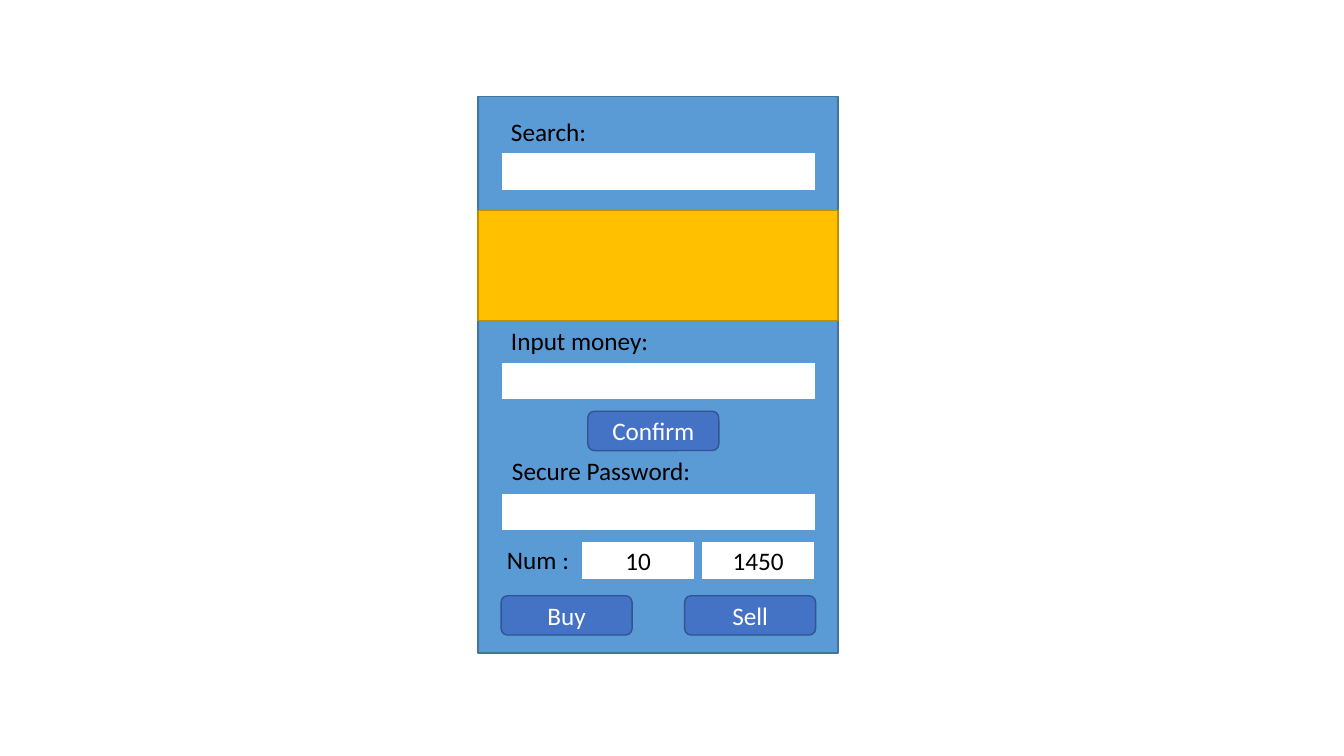
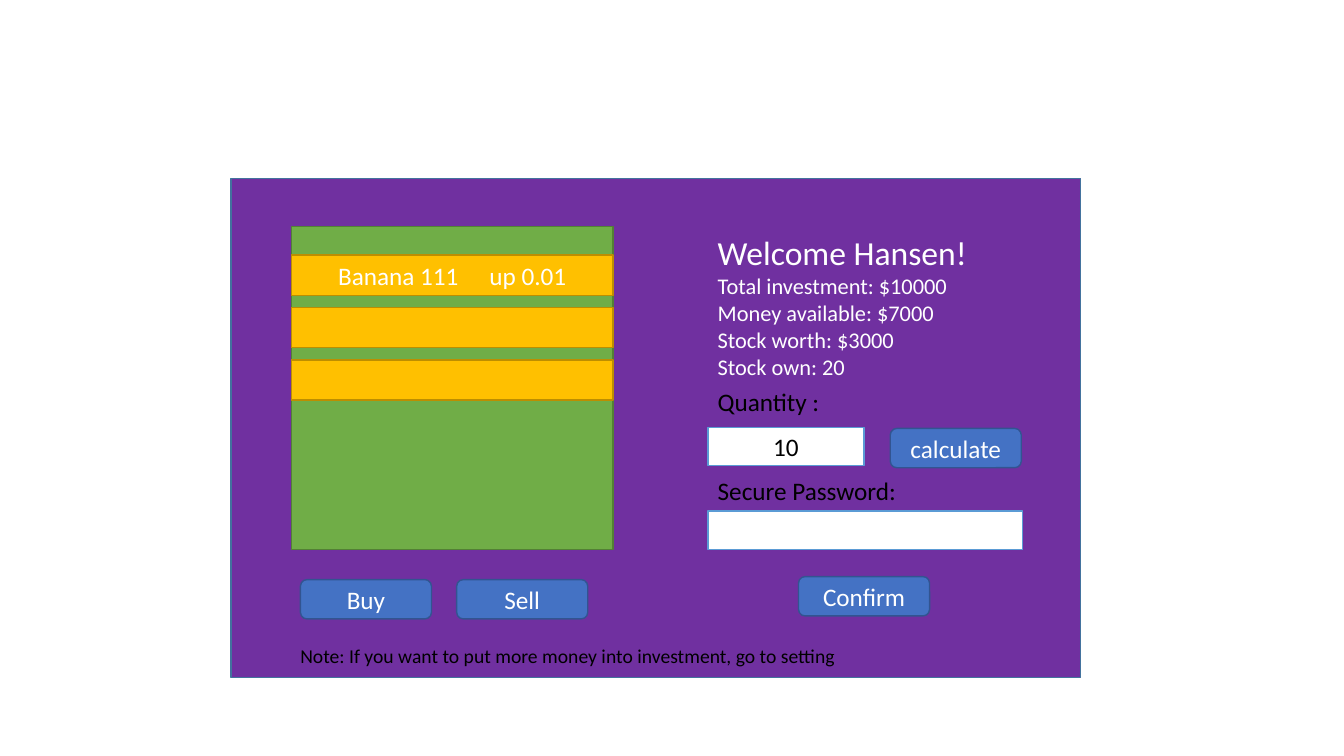
from dataclasses import dataclass

from pptx import Presentation
from pptx.dml.color import RGBColor
from pptx.enum.shapes import MSO_SHAPE
from pptx.enum.text import MSO_ANCHOR, MSO_AUTO_SIZE, PP_ALIGN
from pptx.slide import Slide
from pptx.util import Emu, Pt

EMU_PER_PX = 9144  # 100 px to the inch
FONT = "Calibri"
BLACK, WHITE = "000000", "FFFFFF"
BUTTON_WIDTH, BUTTON_HEIGHT = 130, 39
FIELD_WIDTH, FIELD_HEIGHT = 312, 38
LABEL_HEIGHT = 40


@dataclass(frozen=True)
class Style:
    fill: str
    line: str
    text: str = WHITE
    preset: MSO_SHAPE = MSO_SHAPE.RECTANGLE


PHONE_PANEL = Style("5B9BD5", "43739E")
DESKTOP_PANEL = Style("7030A0", "43739E")
FIELD = Style(WHITE, "5B9BD5", BLACK)
BUTTON = Style("4472C4", "325491", preset=MSO_SHAPE.ROUNDED_RECTANGLE)
STOCK_LIST = Style("70AD47", "538035")
STOCK_ROW = Style("FFC000", "BD8E00")


@dataclass(frozen=True)
class Box:
    style: Style
    left: int
    top: int
    width: int
    height: int
    text: str = ""


@dataclass(frozen=True)
class Label:
    text: str
    left: int
    top: int
    width: int = 210
    height: int = LABEL_HEIGHT
    size: int = 18


def px(length: int) -> Emu:
    return Emu(length * EMU_PER_PX)


def color(value: str) -> RGBColor:
    return RGBColor.from_string(value)


def button(text: str, left: int, top: int) -> Box:
    return Box(BUTTON, left, top, BUTTON_WIDTH, BUTTON_HEIGHT, text)


def field(left: int, top: int, width: int = FIELD_WIDTH, text: str = "") -> Box:
    return Box(FIELD, left, top, width, FIELD_HEIGHT, text)


def write_paragraph(frame, text: str, *, size: int = 18, text_color: str = BLACK,
                    align: PP_ALIGN = PP_ALIGN.LEFT, first: bool = True) -> None:
    paragraph = frame.paragraphs[0] if first else frame.add_paragraph()
    paragraph.alignment = align
    run = paragraph.add_run()
    run.text = text
    run.font.name = FONT
    run.font.size = Pt(size)
    run.font.color.rgb = color(text_color)


def draw_box(slide: Slide, box: Box) -> None:
    shape = slide.shapes.add_shape(
        box.style.preset, px(box.left), px(box.top), px(box.width), px(box.height))
    shape.shadow.inherit = False
    shape.fill.solid()
    shape.fill.fore_color.rgb = color(box.style.fill)
    shape.line.color.rgb = color(box.style.line)
    shape.line.width = Pt(1)
    if box.text:
        shape.text_frame.vertical_anchor = MSO_ANCHOR.MIDDLE
        write_paragraph(shape.text_frame, box.text,
                        text_color=box.style.text, align=PP_ALIGN.CENTER)


def add_text_frame(slide: Slide, left: int, top: int, width: int, height: int):
    frame = slide.shapes.add_textbox(px(left), px(top), px(width), px(height)).text_frame
    frame.word_wrap = True
    frame.auto_size = MSO_AUTO_SIZE.SHAPE_TO_FIT_TEXT
    return frame


def draw_label(slide: Slide, label: Label) -> None:
    frame = add_text_frame(slide, label.left, label.top, label.width, label.height)
    write_paragraph(frame, label.text, size=label.size)


def draw_all(slide: Slide, elements: list[Box | Label]) -> None:
    for element in elements:
        if isinstance(element, Box):
            draw_box(slide, element)
        else:
            draw_label(slide, element)


def build_phone_screen(slide: Slide) -> None:
    left = 497
    draw_all(slide, [
        Box(PHONE_PANEL, 474, 96, 357, 552),
        Label("Search:", left, 110),
        field(left, 151),
        Label("Input money:", left, 318),
        field(left, 359),
        button("Confirm", 583, 408),
        Label("Secure Password:", left + 1, 447),
        field(left, 489),
        Label("Num :", 493, 535, width=121),
        field(577, 537, 112, "10"),
        field(696, 537, 112, "1450"),
        button("Buy", left, 591),
        button("Sell", left + FIELD_WIDTH - BUTTON_WIDTH, 591),
        Box(STOCK_ROW, 474, 209, 357, 109),
    ])


def build_desktop_screen(slide: Slide) -> None:
    list_left, list_top, list_width = 289, 225, 319
    form_left = 702
    row_texts = ["Banana 111\tup 0.01", "", ""]
    draw_all(slide, [
        Box(DESKTOP_PANEL, 229, 177, 843, 495),
        button("Buy", 298, 575),
        button("Sell", 453, 575),
        Box(STOCK_LIST, list_left, list_top, list_width, 320),
        *(Box(STOCK_ROW, list_left, 253 + 52 * index, list_width, 40, text)
          for index, text in enumerate(row_texts)),
        field(form_left, 507),
        Label("Secure Password:", form_left, 467),
        button("Confirm", 792, 572),
        field(form_left, 424, 155, "10"),
        Label("Quantity :", form_left, 378, width=121),
        button("calculate", 883, 425),
        Label("Note: If you want to put more money into investment, go to setting",
              288, 634, width=725, height=34, size=14),
    ])

    account = add_text_frame(slide, form_left, list_top, FIELD_WIDTH, 158)
    write_paragraph(account, "Welcome Hansen!", size=24, text_color=WHITE)
    for text in ("Total investment: $10000", "Money available: $7000",
                 "Stock worth: $3000", "Stock own: 20"):
        write_paragraph(account, text, size=16, text_color=WHITE, first=False)


def main() -> None:
    presentation = Presentation()
    presentation.slide_width, presentation.slide_height = px(1333), px(750)
    blank_layout = presentation.slide_layouts[6]
    for build_screen in (build_phone_screen, build_desktop_screen):
        build_screen(presentation.slides.add_slide(blank_layout))
    presentation.save("out.pptx")


if __name__ == "__main__":
    main()
